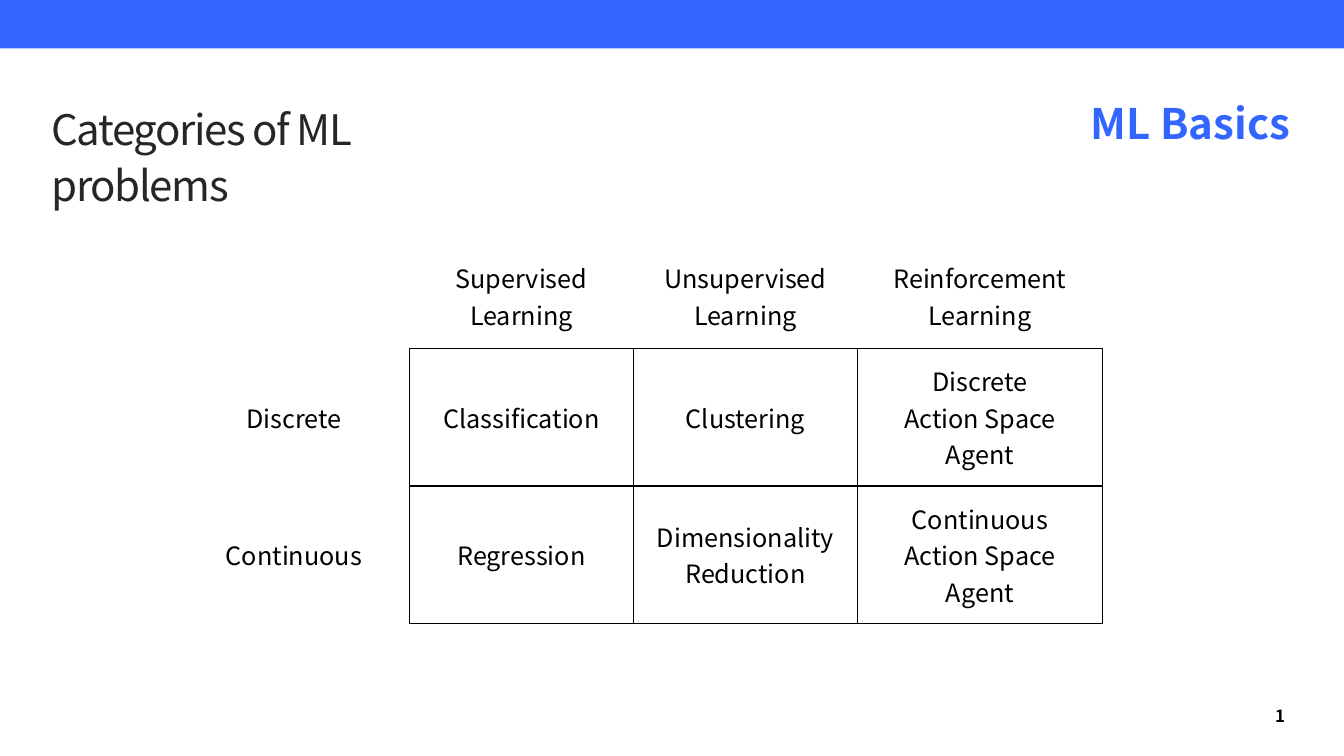
from pptx import Presentation
from pptx.dml.color import RGBColor
from pptx.enum.shapes import MSO_SHAPE
from pptx.enum.text import MSO_ANCHOR as ANCHOR, MSO_AUTO_SIZE as AUTO, PP_ALIGN as ALIGN
from pptx.oxml.ns import qn
from pptx.util import Pt
from lxml.etree import SubElement

FONT = "Noto Sans CJK KR"
COLORS = {"accent": "3366FF", "title": "262626", "ink": "000000"}

COL_WIDTHS = [165, 160, 160, 175]
ROW_HEIGHTS = [75.6, 98, 98]
CATEGORIES = [
    ["", "Supervised\nLearning", "Unsupervised\nLearning", "Reinforcement\nLearning"],
    ["Discrete", "Classification", "Clustering", "Discrete\nAction Space Agent"],
    ["Continuous", "Regression", "Dimensionality\nReduction",
     "Continuous\nAction Space Agent"],
]


def write(tf, text, size, color="ink", bold=False, align=ALIGN.LEFT,
          line=1.0, tracking=0):
    """Fill a text frame, one paragraph per line; tracking is in points."""
    tf.text = text
    for p in tf.paragraphs:
        p.alignment = align
        p.line_spacing = line
        for r in p.runs:
            r.font.name = FONT
            r.font.size = Pt(size)
            r.font.bold = bold
            r.font.color.rgb = RGBColor.from_string(COLORS[color])
            if tracking:
                r.font._element.set("spc", str(tracking * 100))


def place(sp, left, top, width, height):
    sp.left, sp.top, sp.width, sp.height = map(Pt, (left, top, width, height))


def add_band(slide, left, top, width, height):
    sp = slide.shapes.add_shape(MSO_SHAPE.RECTANGLE, *map(Pt, (left, top, width, height)))
    sp.shadow.inherit = False
    sp.fill.solid()
    sp.fill.fore_color.rgb = RGBColor.from_string(COLORS["accent"])
    sp.line.fill.background()


def add_title(slide, box, text):
    sp = slide.shapes.title
    place(sp, *box)
    tf = sp.text_frame
    tf.auto_size, tf.word_wrap = AUTO.NONE, False
    tf.vertical_anchor = ANCHOR.TOP
    write(tf, text, 30, "title", line=1.1, tracking=-1)


def add_right_label(slide, box, text, size, **style):
    tf = slide.shapes.add_textbox(*map(Pt, box)).text_frame
    tf.word_wrap = True
    tf.vertical_anchor = ANCHOR.MIDDLE
    write(tf, text, size, bold=True, align=ALIGN.RIGHT, line=1.1, **style)


def set_borders(cell, sides):
    """Draw the named sides (from L, R, T, B) and clear the others."""
    tc_pr = cell._tc.get_or_add_tcPr()
    for side in "LRTB":
        ln = SubElement(tc_pr, qn(f"a:ln{side}"), w=str(Pt(1)))
        if side in sides:
            fill = SubElement(ln, qn("a:solidFill"))
            SubElement(fill, qn("a:srgbClr"), val=COLORS["ink"])
        else:
            SubElement(ln, qn("a:noFill"))


def add_category_table(slide, left, top):
    size = sum(COL_WIDTHS), sum(ROW_HEIGHTS)
    table = slide.shapes.add_table(len(ROW_HEIGHTS), len(COL_WIDTHS),
                                   *map(Pt, (left, top, *size))).table
    table.first_row = table.horz_banding = False
    for column, width in zip(table.columns, COL_WIDTHS):
        column.width = Pt(width)
    for i, height in enumerate(ROW_HEIGHTS):
        table.rows[i].height = Pt(height)
        for j, text in enumerate(CATEGORIES[i]):
            cell = table.cell(i, j)
            if i and j:
                sides = "LRTB"
            elif i:
                sides = "R"
            else:
                sides = "B" if j else ""
            set_borders(cell, sides)
            cell.fill.background()
            cell.vertical_anchor = ANCHOR.MIDDLE
            cell.margin_left = cell.margin_right = Pt(10)
            write(cell.text_frame, text, 18, align=ALIGN.CENTER)


def build_slide(prs):
    slide = prs.slides.add_slide(prs.slide_layouts[5])
    add_band(slide, 0, 0, 960, 34.6)
    add_right_label(slide, (664.6, 59.8, 264, 52.6), "ML Basics", 30, color="accent")
    add_right_label(slide, (727, 489.6, 198, 41.8), "1", 12, tracking=-1)
    add_title(slide, (29.5, 67, 340.6, 45.4), "Categories of ML problems")
    add_category_table(slide, 127.5, 173.6)


def main():
    prs = Presentation()
    prs.slide_width, prs.slide_height = Pt(960), Pt(540)
    build_slide(prs)
    prs.save("out.pptx")


if __name__ == "__main__":
    main()
